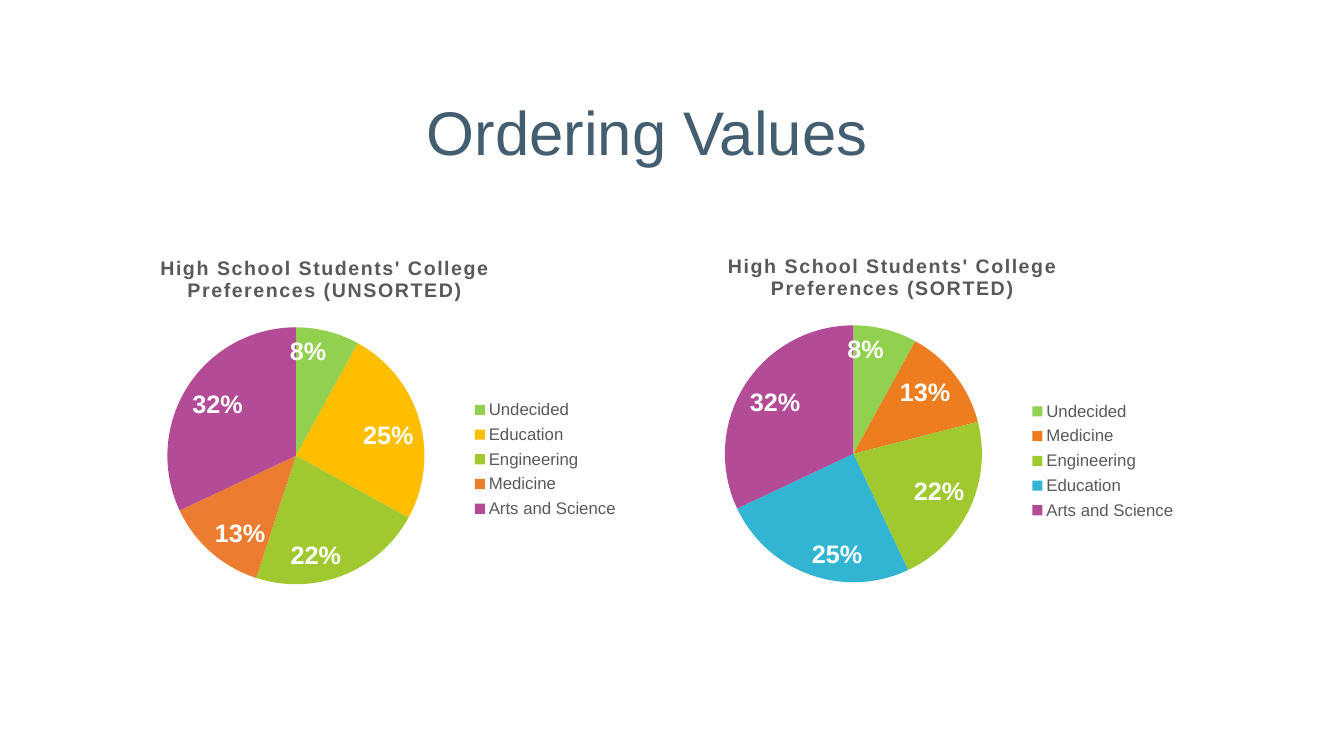
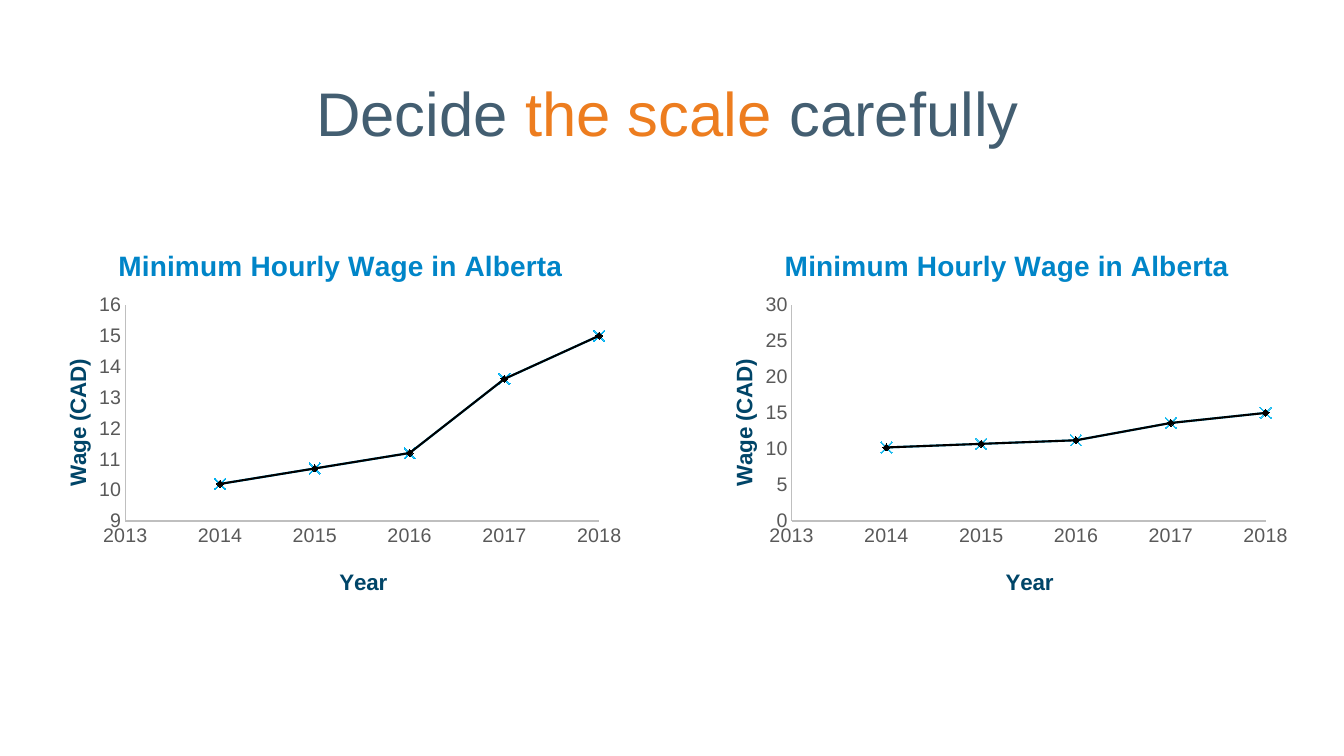
from lxml.etree import SubElement
from pptx import Presentation
from pptx.chart.data import CategoryChartData, XyChartData
from pptx.dml.color import RGBColor as RGB
from pptx.enum.chart import XL_AXIS_CROSSES as CROSSES
from pptx.enum.chart import XL_CHART_TYPE as CHART
from pptx.enum.chart import XL_LABEL_POSITION as LABEL
from pptx.enum.chart import XL_LEGEND_POSITION as LEGEND
from pptx.enum.chart import XL_MARKER_STYLE as MARKER
from pptx.enum.chart import XL_TICK_MARK as TICK
from pptx.enum.text import MSO_ANCHOR, MSO_AUTO_SIZE, PP_ALIGN
from pptx.oxml.ns import qn
from pptx.util import Inches, Pt

FONT = "Arial"
C = {
    "slate": "435E71", "accent": "ED7D1F", "gray": "595959", "axis": "BFBFBF",
    "white": "FFFFFF", "black": "000000", "blue": "0085C8", "navy": "004568",
    "cyan": "00B0F0", "sky": "1FBCEF", "green": "92D050", "amber": "FFBF00",
    "lime": "A0C82F", "orange": "EB7C30", "purple": "B44B97", "teal": "32B5D3",
}
C = {name: RGB.from_string(value) for name, value in C.items()}

prs = Presentation()
prs.slide_width, prs.slide_height = Inches(13.33), Inches(7.5)


def place(left, top, width, height):
    """Turn percentages of the slide into lengths."""
    w, h = prs.slide_width, prs.slide_height
    return [int(side * share / 100)
            for side, share in zip((w, h, w, h), (left, top, width, height))]


def set_layout(element, inner=False, **shares):
    """Position a chart part by shares of the chart's size."""
    for old in element.findall(qn("c:layout")):
        element.remove(old)
    layout = SubElement(element, qn("c:layout"))
    manual = SubElement(layout, qn("c:manualLayout"))
    if inner:
        SubElement(manual, qn("c:layoutTarget")).set("val", "inner")
    for key in ("x", "y"):
        SubElement(manual, qn(f"c:{key}Mode")).set("val", "edge")
    for key, share in shares.items():
        SubElement(manual, qn(f"c:{key}")).set("val", str(share))
    before = [child for child in element
              if child.tag in (qn("c:tx"), qn("c:legendPos"))]
    element.insert(len(before), layout)


# Slides with their titles
titles = [
    ((16.43, 11.73, 63.47, 10.8), [("Ordering Values", "slate")]),
    ((1.13, 9.33, 97.07, 10.8), [("Decide ", "slate"), ("the scale ", "accent"),
                                 ("carefully", "slate")]),
]
for area, parts in titles:
    s = prs.slides.add_slide(prs.slide_layouts[6])
    tf = s.shapes.add_textbox(*place(*area)).text_frame
    tf.word_wrap = True
    tf.auto_size = MSO_AUTO_SIZE.SHAPE_TO_FIT_TEXT
    tf.vertical_anchor = MSO_ANCHOR.MIDDLE
    p = tf.paragraphs[0]
    p.alignment = PP_ALIGN.CENTER
    p.line_spacing = Pt(54)
    for text, color in parts:
        r = p.add_run()
        r.text = text
        r.font.name, r.font.size = FONT, Pt(44)
        r.font.color.rgb = C[color]
pie_slide, line_slide = prs.slides

# Pie charts: the same shares in two orders
pies = [
    ("UNSORTED", 9.08, 32.53, 0.07, 0.42,
     [("Undecided", 8, "green"), ("Education", 25, "amber"),
      ("Engineering", 22, "lime"), ("Medicine", 13, "orange"),
      ("Arts and Science", 32, "purple")]),
    ("SORTED", 50.56, 32.27, 0.09, 0.43,
     [("Undecided", 8, "green"), ("Medicine", 13, "accent"),
      ("Engineering", 22, "lime"), ("Education", 25, "teal"),
      ("Arts and Science", 32, "purple")]),
]
for order, left, top, title_x, legend_y, slices in pies:
    names, values, colors = zip(*slices)
    data = CategoryChartData()
    data.categories = names
    data.add_series("Series 1", values)
    chart = pie_slide.shapes.add_chart(
        CHART.PIE, *place(left, top, 37.5, 46.67), data).chart
    chart.font.name, chart.font.size = FONT, Pt(10)
    set_layout(chart._chartSpace.chart.plotArea, True, x=0.09, y=0.23, w=0.51, h=0.73)

    # Title on two lines
    chart.has_title = True
    tf = chart.chart_title.text_frame
    tf.text = f"High School Students' College\nPreferences ({order})"
    for p in tf.paragraphs:
        p.alignment = PP_ALIGN.CENTER
        f = p.runs[0].font
        f.name, f.size, f.bold = FONT, Pt(14), True
        f.color.rgb = C["gray"]
        p.runs[0]._r.get_or_add_rPr().set("spc", "100")
    set_layout(chart.chart_title._element, x=title_x, y=0.02)

    # Legend
    chart.has_legend = True
    legend = chart.legend
    legend.position = LEGEND.RIGHT
    legend.include_in_layout = False
    legend.font.name, legend.font.size = FONT, Pt(12)
    legend.font.color.rgb = C["gray"]
    set_layout(legend._element, x=0.69, y=legend_y, w=0.3, h=0.37)

    # Slices and labels
    plot = chart.plots[0]
    plot.vary_by_categories = True
    for i, color in enumerate(colors):
        fill = plot.series[0].points[i].format.fill
        fill.solid()
        fill.fore_color.rgb = C[color]
    plot.has_data_labels = True
    labels = plot.data_labels
    labels.show_percentage, labels.show_value = True, False
    labels.number_format, labels.number_format_is_linked = "0%", False
    labels.position = LABEL.INSIDE_END
    labels.font.name, labels.font.size, labels.font.bold = FONT, Pt(18), True
    labels.font.color.rgb = C["white"]

# Line charts: the same wages on two scales
wages = {2014: 10.2, 2015: 10.7, 2016: 11.2, 2017: 13.6, 2018: 15}
scales = [(2.63, 9, 16, 1, "cyan"), (52.21, 0, 30, 5, "sky")]
for left, low, high, step, color in scales:
    data = XyChartData()
    for name in ("Series 1", "Series 2"):
        points = data.add_series(name)
        for year, wage in wages.items():
            points.add_data_point(year, wage)
    chart = line_slide.shapes.add_chart(
        CHART.XY_SCATTER_LINES, *place(left, 29.6, 44.64, 51.07), data).chart
    chart.font.name, chart.font.size = FONT, Pt(10)
    chart.has_legend = False
    chart.plots[0].vary_by_categories = False
    set_layout(chart._chartSpace.chart.plotArea, True, x=0.15, y=0.21, w=0.79, h=0.56)

    # Axes
    x_axis, y_axis = chart.category_axis, chart.value_axis
    axes = [(x_axis, 2013, 2018, 1, "General"), (y_axis, low, high, step, "#,##0")]
    for axis, start, end, unit, number_format in axes:
        axis.minimum_scale, axis.maximum_scale = start, end
        axis.major_unit = unit
        axis.has_major_gridlines = False
        axis.major_tick_mark = axis.minor_tick_mark = TICK.NONE
        axis.crosses = CROSSES.MINIMUM
        axis.format.line.color.rgb = C["axis"]
        axis.format.line.width = Pt(0.75)
        ticks = axis.tick_labels
        ticks.number_format, ticks.number_format_is_linked = number_format, False
        ticks.font.name, ticks.font.size = FONT, Pt(14)
        ticks.font.color.rgb = C["gray"]

    # Chart and axis titles
    chart.has_title = x_axis.has_title = y_axis.has_title = True
    captions = [
        (chart.chart_title, "Minimum Hourly Wage in Alberta", 20, "blue", 0.13, 0.05),
        (x_axis.axis_title, "Year", 16, "navy", 0.5, 0.88),
        (y_axis.axis_title, "Wage (CAD)", 16, "navy", 0.04, 0.34),
    ]
    for caption, text, size, ink, x, y in captions:
        caption.text_frame.text = text
        f = caption.text_frame.paragraphs[0].runs[0].font
        f.name, f.size, f.bold = FONT, Pt(size), True
        f.color.rgb = C[ink]
        set_layout(caption._element, x=x, y=y)
    y_axis.axis_title.text_frame._txBody.bodyPr.set("rot", "-5400000")

    # Lines and markers
    styles = [("black", MARKER.DIAMOND, 5), (color, MARKER.X, 8)]
    for series, (ink, style, size) in zip(chart.plots[0].series, styles):
        series.smooth = False
        series.format.line.color.rgb = C[ink]
        series.format.line.width = Pt(1.5)
        marker = series.marker
        marker.style, marker.size = style, size
        marker.format.fill.solid()
        marker.format.fill.fore_color.rgb = C[ink]
        marker.format.line.color.rgb = C[ink]

prs.save("out.pptx")
